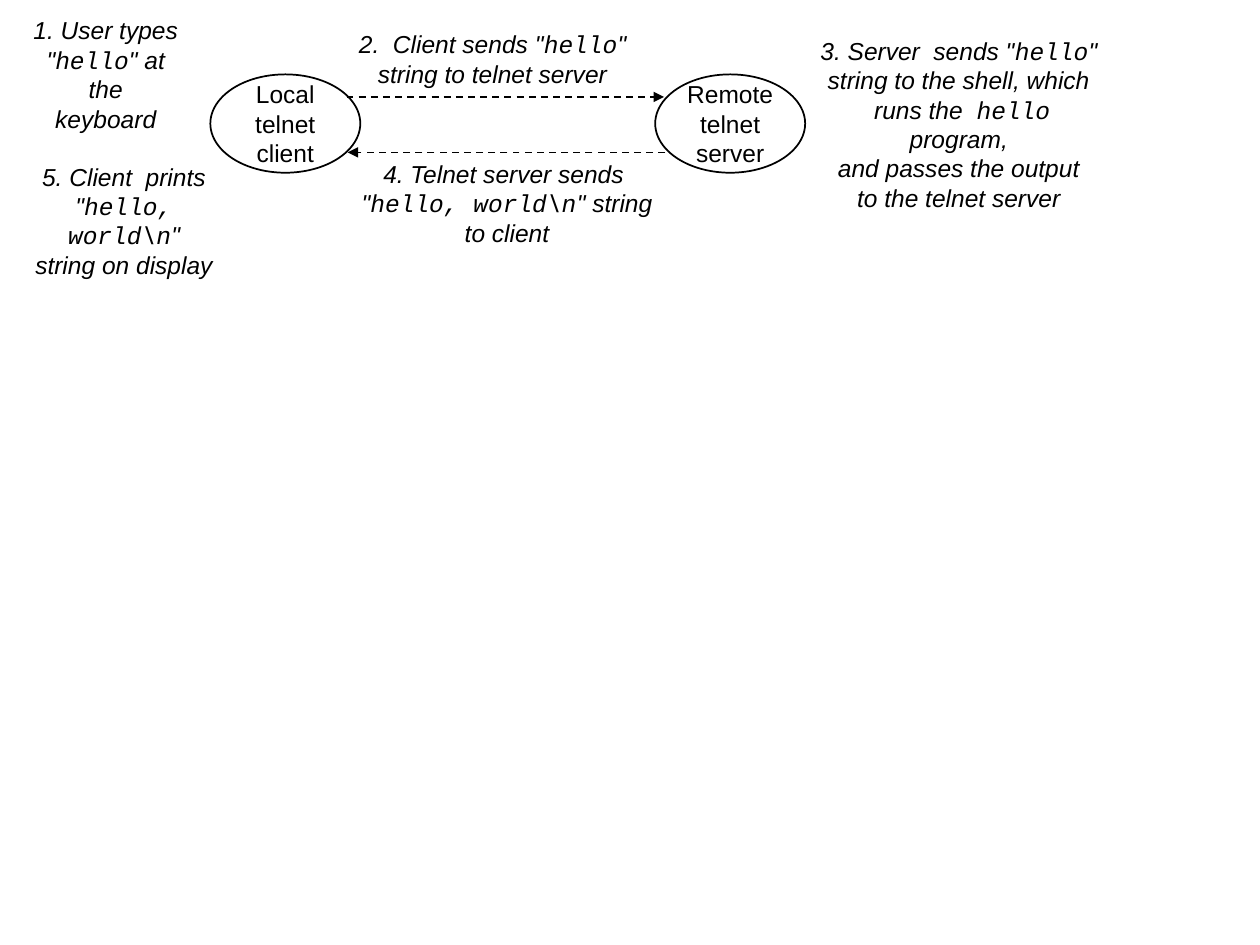
"""Build a slide that shows a telnet client and server exchanging strings."""
from dataclasses import dataclass

from lxml import etree
from pptx import Presentation
from pptx.dml.color import RGBColor
from pptx.enum.dml import MSO_LINE
from pptx.enum.shapes import MSO_CONNECTOR, MSO_SHAPE
from pptx.enum.text import MSO_ANCHOR, MSO_AUTO_SIZE, PP_ALIGN
from pptx.oxml.ns import qn
from pptx.util import Pt

OVAL = MSO_SHAPE.OVAL
STRAIGHT = MSO_CONNECTOR.STRAIGHT
DASH = MSO_LINE.DASH
MIDDLE = MSO_ANCHOR.MIDDLE
CENTER = PP_ALIGN.CENTER
FIT_SHAPE = MSO_AUTO_SIZE.SHAPE_TO_FIT_TEXT


@dataclass(frozen=True)
class Theme:
    ink: RGBColor = RGBColor(0, 0, 0)
    paper: RGBColor = RGBColor(255, 255, 255)
    font: str = "Arial"
    code_font: str = "Courier New"
    size: float = 14
    leading: float = 16.8
    line_width: float = 1


THEME = Theme()
NODE_TOP, NODE_WIDTH, NODE_HEIGHT = 42.5, 85.7, 56.2

NODES = [
    (120.2, ["Local", "telnet", "client"]),
    (374.4, ["Remote", "telnet", "server"]),
]
ARROWS = [(198, 379.5, 55.4), (380.2, 198.7, 87.1)]
STEPS = [
    ((7.9, 13.7, 105.1, 57.6),
     ["1. User types", '"`hello`" at the', "keyboard"]),
    ((198, 13, 167, 41),
     ['2.  Client sends "`hello`"', "string to telnet server"]),
    ((458.6, 25.2, 178.6, 91.4),
     ['3. Server  sends "`hello`"', "string to the shell, which",
      " runs the  `hello` program,", "and passes the output",
      "to the telnet server"]),
    ((199.4, 87.1, 180.7, 57.6),
     ["4. Telnet server sends ", '"`hello, world\\n`" string', "to client"]),
    ((0, 97.2, 141.8, 57.6),
     ["5. Client  prints", '"`hello, world\\n`"', "string on display"]),
]


def write_lines(tf, lines, italic=False):
    """Write centred lines, setting text between backticks in the code font."""
    tf.word_wrap = False
    tf.vertical_anchor = MIDDLE
    for i, line in enumerate(lines):
        p = tf.paragraphs[0] if i == 0 else tf.add_paragraph()
        p.alignment = CENTER
        p.line_spacing = Pt(THEME.leading)
        p.font.size = Pt(THEME.size)
        p.font.italic = italic
        p.font.color.rgb = THEME.ink
        p.font.name = THEME.font
        for j, text in enumerate(line.split("`")):
            r = p.add_run()
            r.text = text
            if j % 2:
                r.font.name = THEME.code_font


def style_line(line):
    """Give a line the theme's colour and width."""
    line.color.rgb = THEME.ink
    line.width = Pt(THEME.line_width)


def add_node(s, left, lines):
    """Add an oval that stands for a program."""
    sp = s.shapes.add_shape(OVAL, Pt(left), Pt(NODE_TOP),
                            Pt(NODE_WIDTH), Pt(NODE_HEIGHT))
    sp.shadow.inherit = False
    sp.fill.solid()
    sp.fill.fore_color.rgb = THEME.paper
    style_line(sp.line)
    write_lines(sp.text_frame, lines)


def add_arrow(s, start, end, y):
    """Add a level dashed arrow."""
    cxn = s.shapes.add_connector(STRAIGHT, Pt(start), Pt(y), Pt(end), Pt(y))
    style_line(cxn.line)
    cxn.line.dash_style = DASH
    etree.SubElement(cxn.line._get_or_add_ln(), qn("a:tailEnd"), type="triangle")
    etree.SubElement(cxn._element.spPr, qn("a:effectLst"))


def add_step(s, box, lines):
    """Add an italic step description."""
    sp = s.shapes.add_textbox(*map(Pt, box))
    write_lines(sp.text_frame, lines, italic=True)
    sp.text_frame.auto_size = FIT_SHAPE


def main():
    """Build and save the slide."""
    prs = Presentation()
    prs.slide_width, prs.slide_height = Pt(720), Pt(540)
    s = prs.slides.add_slide(prs.slide_layouts[6])
    (client_left, client), (server_left, server) = NODES
    request, reply = ARROWS
    add_node(s, client_left, client)
    add_arrow(s, *request)
    add_node(s, server_left, server)
    add_arrow(s, *reply)
    for box, lines in STEPS:
        add_step(s, box, lines)
    prs.save("out.pptx")


if __name__ == "__main__":
    main()
